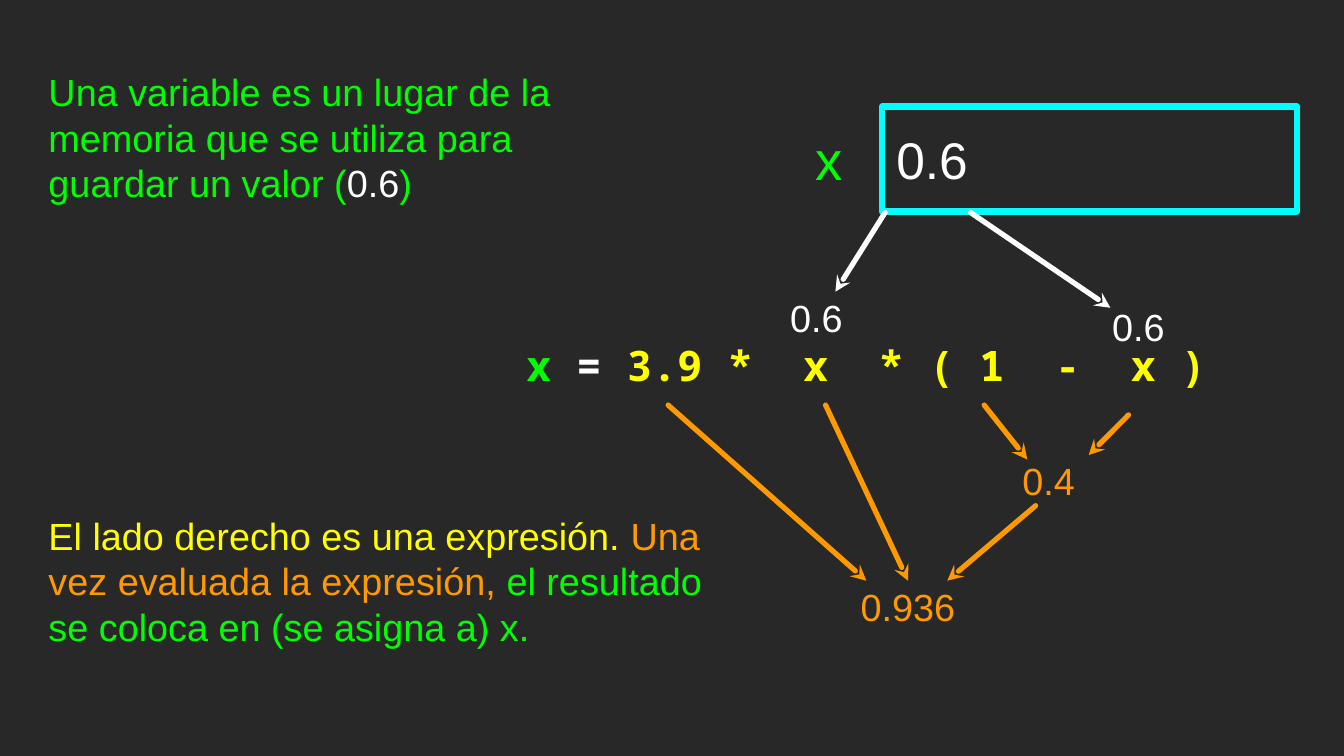
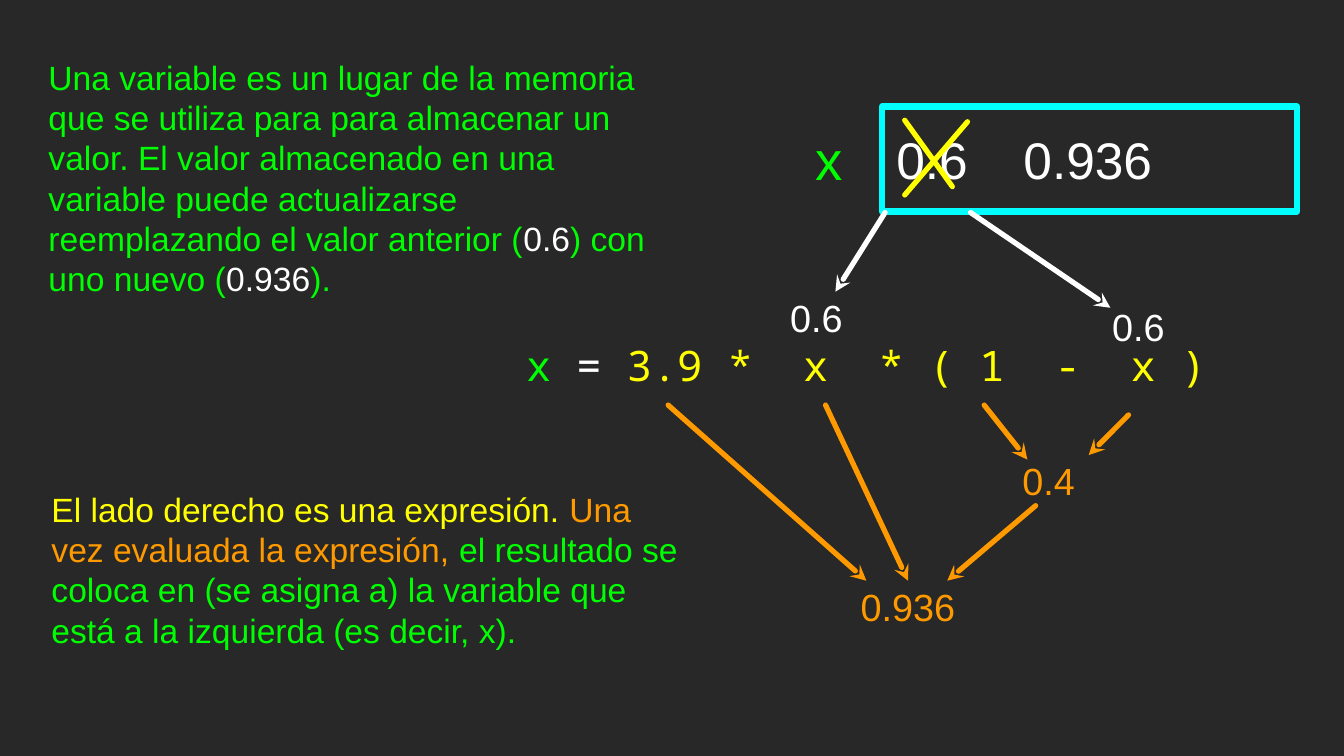
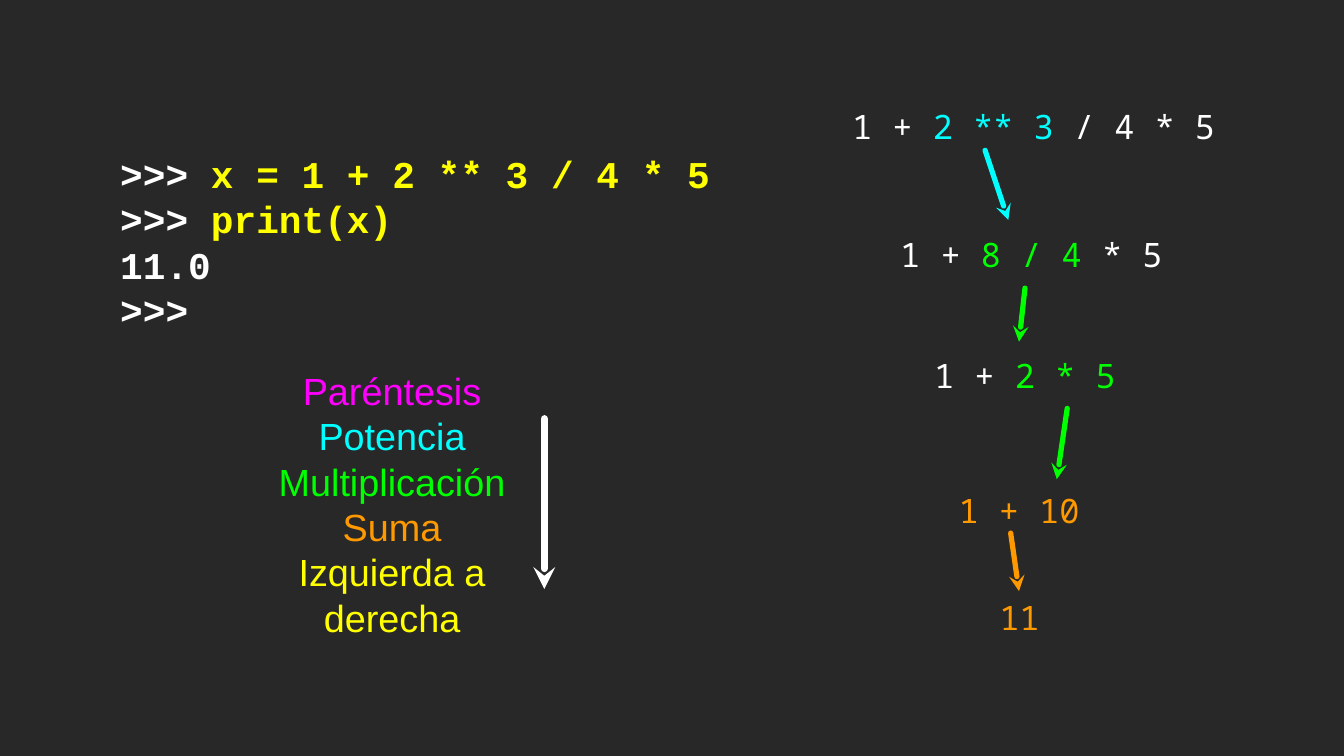
import pptx
import pptx.dml.color
import pptx.enum.shapes
import pptx.enum.text
import pptx.oxml
import pptx.oxml.ns
import pptx.util
from pptx.util import Cm

RGBColor = pptx.dml.color.RGBColor
DARK = RGBColor(0x28, 0x28, 0x28)
WHITE = RGBColor(0xFF, 0xFF, 0xFF)
GREEN = RGBColor(0x00, 0xFF, 0x00)
YELLOW = RGBColor(0xFF, 0xFF, 0x00)
ORANGE = RGBColor(0xFF, 0x99, 0x00)
CYAN = RGBColor(0x00, 0xFF, 0xFF)
MAGENTA = RGBColor(0xFF, 0x00, 0xFF)
SANS, MONO, CODE = "Arial", "Noto Sans Mono", "Courier New"
ALIGN = pptx.enum.text.PP_ALIGN


def add_element(parent, tag, **attributes):
    """Append a DrawingML element and return it."""
    element = pptx.oxml.parse_xml(f"<a:{tag} {pptx.oxml.ns.nsdecls('a')}/>")
    for name, value in attributes.items():
        element.set(name, value)
    parent.append(element)
    return element


class Deck:
    """Holds the dark style and the slide being drawn."""

    def __init__(self):
        self.prs = pptx.Presentation()
        self.prs.slide_width, self.prs.slide_height = Cm(45.16), Cm(25.4)
        self.s = None

    def slide(self):
        """Start a dark slide."""
        self.s = self.prs.slides.add_slide(self.prs.slide_layouts[6])
        self.s.background.fill.solid()
        self.s.background.fill.fore_color.rgb = DARK

    def fill_text(self, sp, paragraphs, size=36, font=SANS, bold=False, align=ALIGN.LEFT, left=0, tab=None):
        """Fill a shape with paragraphs, each a list of (text, colour) runs."""
        tf = sp.text_frame
        frame = dict(word_wrap=True, vertical_anchor=pptx.enum.text.MSO_ANCHOR.MIDDLE,
                     margin_left=Cm(left), margin_right=0, margin_top=0, margin_bottom=0)
        for name, value in frame.items():
            setattr(tf, name, value)
        for i, runs in enumerate(paragraphs):
            p = tf.add_paragraph() if i else tf.paragraphs[0]
            p.alignment = align
            if font != MONO:
                p.line_spacing = pptx.util.Pt(1.2 * size)
            if tab:
                stops = add_element(p._p.get_or_add_pPr(), "tabLst")
                add_element(stops, "tab", pos=str(Cm(tab)), algn="l")
            for text, color in runs:
                r = p.add_run()
                r.text = text
                for name, value in dict(size=pptx.util.Pt(size), name=font, bold=bold).items():
                    setattr(r.font, name, value)
                r.font.color.rgb = color

    def text(self, at, *paragraphs, **style):
        """Add a text box."""
        self.fill_text(self.s.shapes.add_textbox(*map(Cm, at)), paragraphs, **style)

    def label(self, at, text, color, size=36):
        """Add a centred one-line label."""
        self.text(at, [(text, color)], size=size, align=ALIGN.CENTER)

    def box(self, at, text, **style):
        """Add the outlined memory cell."""
        sp = self.s.shapes.add_shape(pptx.enum.shapes.MSO_SHAPE.RECTANGLE, *map(Cm, at))
        sp.shadow.inherit = False
        sp.fill.background()
        self.stroke(sp.line, CYAN, 6)
        self.fill_text(sp, [[(text, WHITE)]], **style)

    def stroke(self, line, color, width):
        """Style a line with round caps and joins, and return its XML."""
        line.color.rgb = color
        line.width = pptx.util.Pt(width)
        ln = line._get_or_add_ln()
        ln.set("cap", "rnd")
        add_element(ln, "round")
        return ln

    def line(self, start, end, color, width=5, arrow=True):
        """Add a straight line, with an arrowhead at its start if wanted."""
        kind = pptx.enum.shapes.MSO_CONNECTOR.STRAIGHT
        c = self.s.shapes.add_connector(kind, *map(Cm, start + end))
        ln = self.stroke(c.line, color, width)
        if arrow:
            add_element(ln, "headEnd", type="stealth")
        add_element(c._element.spPr, "effectLst")

    def assignment(self, cell, bold):
        """Draw the evaluation of the assignment to x."""
        self.text((17.68, 10.67, 24.56, 3.2),
                  [("x ", GREEN), ("= ", WHITE), ("3.9 *  x  * ( 1  -  x )", YELLOW)],
                  size=40, font=MONO, bold=bold)
        self.box((29.64, 3.58, 13.94, 3.53), cell, size=49, left=0.48, tab=4.27)
        self.label((27.25, 4.14, 1.24, 2.39), "x", GREEN, 52)
        for at, text, color in [((26.19, 9.8, 2.49, 1.73), "0.6", WHITE),
                                ((36.78, 10.11, 2.95, 1.73), "0.6", WHITE),
                                ((33.76, 15.27, 2.95, 1.73), "0.4", ORANGE),
                                ((28.09, 19.51, 4.83, 1.73), "0.936", ORANGE)]:
            self.label(at, text, color)
        for tip, origin, color in [((28.07, 9.8), (29.74, 7.14), WHITE),
                                   ((37.31, 10.34), (32.61, 7.14), WHITE),
                                   ((29.11, 19.51), (22.45, 13.61), ORANGE),
                                   ((30.51, 19.51), (27.74, 13.61), ORANGE),
                                   ((36.58, 15.29), (37.92, 13.94), ORANGE),
                                   ((34.52, 15.44), (33.07, 13.61), ORANGE),
                                   ((31.83, 19.51), (34.8, 16.99), ORANGE)]:
            self.line(tip, origin, color)

    def explanation(self, at, result, size):
        """Explain the right-hand side and where its result goes."""
        self.text(at, [("El lado derecho es una expresión. ", YELLOW),
                       ("Una vez evaluada la expresión, ", ORANGE), (result, GREEN)], size=size)


def main():
    """Build the three slides."""
    d = Deck()

    d.slide()
    d.assignment("0.6", bold=True)
    d.explanation((1.63, 17.2, 22.12, 4.62), "el resultado se coloca en (se asigna a) x.", 36)
    d.text((1.63, 3.02, 18.26, 3.18),
           [("Una variable es un lugar de la memoria que se utiliza para guardar un valor (", GREEN),
            ("0.6", WHITE), (")", GREEN)])

    d.slide()
    d.assignment("0.6\t0.936", bold=False)
    d.line((32.51, 4.09), (30.4, 6.55), YELLOW, arrow=False)
    d.line((30.4, 4.04), (32, 6.27), YELLOW, arrow=False)
    d.explanation((1.73, 16.26, 21.29, 5.74),
                  "el resultado se coloca en (se asigna a) la variable que está a la izquierda "
                  "(es decir, x).", 32)
    d.text((1.63, 2.97, 20.85, 5.99),
           [("Una variable es un lugar de la memoria que se utiliza para para almacenar un valor. "
             "El valor almacenado en una variable puede actualizarse reemplazando el valor "
             "anterior (", GREEN),
            ("0.6", WHITE), (") con uno nuevo (", GREEN), ("0.936", WHITE), (").", GREEN)], size=32)

    d.slide()
    for left, top, width, runs in [
            (28.63, 3.12, 12.85, [("1 + ", WHITE), ("2 ** 3", CYAN), (" / 4 * 5", WHITE)]),
            (30.25, 7.42, 11.23, [("1 + ", WHITE), ("8 / 4", GREEN), (" * 5", WHITE)]),
            (31.39, 11.48, 8.94, [("1 + ", WHITE), ("2 * 5", GREEN)]),
            (32.21, 16.03, 6.27, [("1 + 10", ORANGE)]),
            (33.58, 19.63, 2.01, [("11", ORANGE)])]:
        d.text((left, top, width, 2.21), runs, size=32, font=MONO)
    for tip, origin, color in [((33.88, 7.39), (33.1, 5.05), CYAN),
                               ((34.24, 11.48), (34.44, 9.68), GREEN),
                               ((35.51, 16.1), (35.86, 13.72), GREEN),
                               ((34.24, 19.86), (33.96, 17.91), ORANGE)]:
        d.line(tip, origin, color)
    d.text((4.04, 4.01, 20.42, 8.2),
           [(">>> ", WHITE), ("x = 1 + 2 ** 3 / 4 * 5", YELLOW)],
           [(">>> ", WHITE), ("print(x)", YELLOW)],
           [("11.0", WHITE)], [(">>>", WHITE)], font=CODE, bold=True)
    precedence = {"Paréntesis": MAGENTA, "Potencia": CYAN, "Multiplicación": GREEN,
                  "Suma": ORANGE, "Izquierda a derecha": YELLOW}
    d.text((9.02, 12.73, 8.31, 8.38), *([rule] for rule in precedence.items()), align=ALIGN.CENTER)
    d.line((18.29, 19.79), (18.29, 14.07), WHITE, width=7)

    d.prs.save("out.pptx")


if __name__ == "__main__":
    main()
